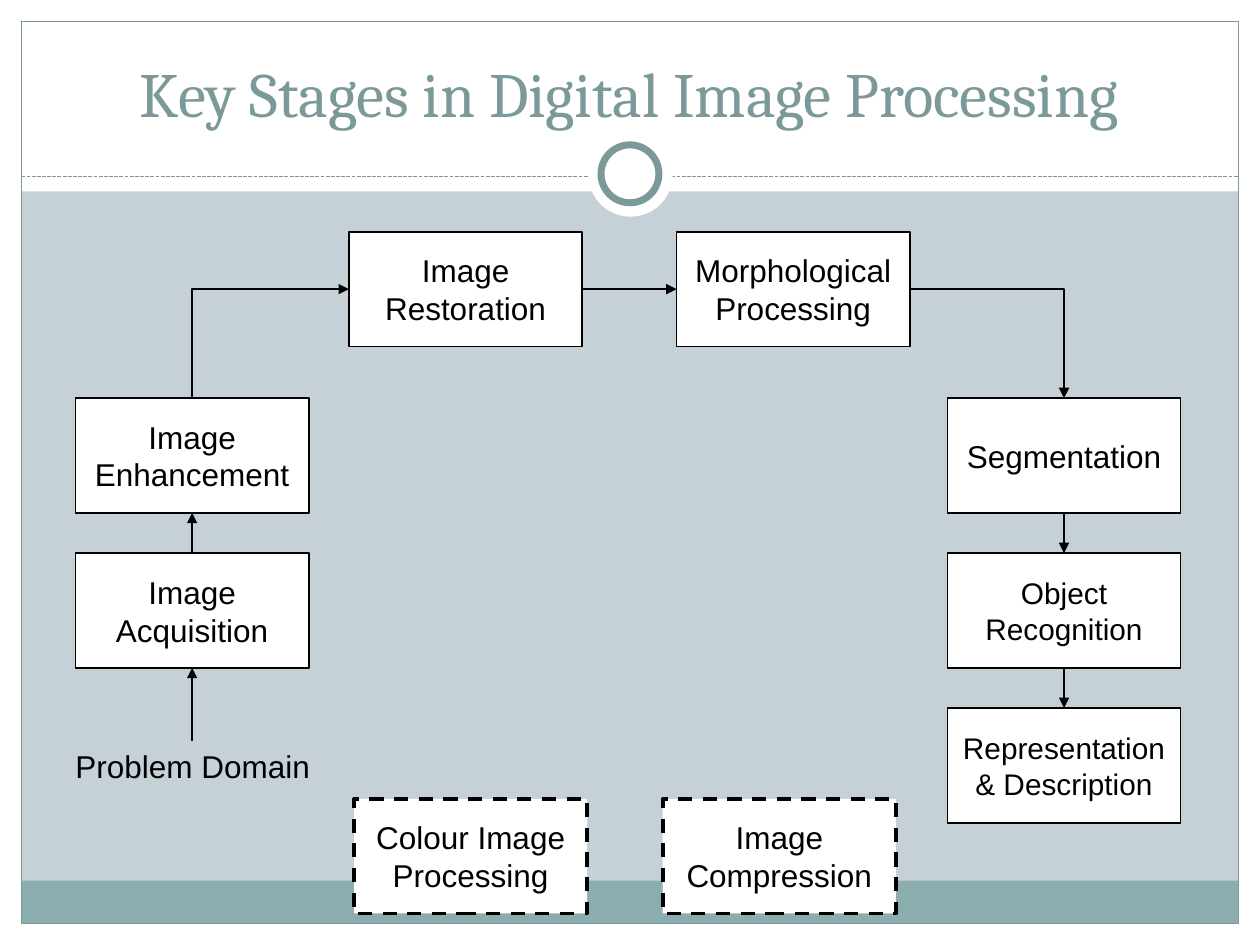
import pptx
import pptx.util
import pptx.dml.color
import pptx.enum.dml
import pptx.enum.shapes
import pptx.enum.text
import pptx.oxml.ns
import pptx.oxml.xmlchemy

Inches, Pt = pptx.util.Inches, pptx.util.Pt
RGB = pptx.dml.color.RGBColor.from_string
Dash = pptx.enum.dml.MSO_LINE
Form = pptx.enum.shapes.MSO_SHAPE
Link = pptx.enum.shapes.MSO_CONNECTOR
Align = pptx.enum.text.PP_ALIGN
Anchor = pptx.enum.text.MSO_ANCHOR
qn = pptx.oxml.ns.qn
Node = pptx.oxml.xmlchemy.OxmlElement

INK = {"back": "C5D1D7", "white": "FFFFFF", "band": "8CADAE",
       "trim": "7C999A", "black": "000000"}

deck = pptx.Presentation()
deck.slide_width, deck.slide_height = Inches(10), Inches(7.5)
slide = deck.slides.add_slide(deck.slide_layouts[6])
slide.background.fill.solid()
slide.background.fill.fore_color.rgb = RGB(INK["back"])


def draw(form, left, top, width, height, fill=None, line=None, weight=1, dash=None):
    shape = slide.shapes.add_shape(form, *map(Inches, (left, top, width, height)))
    shape.shadow.inherit = False
    if fill:
        shape.fill.solid()
        shape.fill.fore_color.rgb = RGB(INK[fill])
    else:
        shape.fill.background()
    if line:
        shape.line.color.rgb = RGB(INK[line])
        shape.line.width = Pt(weight)
        if dash:
            shape.line.dash_style = dash
    else:
        shape.line.fill.background()
    return shape


def write(shape, text, size=18, font="Arial", ink="black",
          align=Align.CENTER, anchor=Anchor.MIDDLE, wrap=True):
    frame = shape.text_frame
    frame.word_wrap = wrap
    frame.vertical_anchor = anchor
    para = frame.paragraphs[0]
    para.alignment = align
    run = para.add_run()
    run.text = text
    run.font.size, run.font.name = Pt(size), font
    run.font.color.rgb = RGB(INK[ink])


# Grid: page edge, four columns, a top row and three side rows
EDGE = 0.17
WIDE, HIGH = 1.85, 0.91
COL = [0.6, 2.77, 5.37, 7.52]
TOP = 1.84
ROW = [3.16 + 1.23 * i for i in range(3)]
MID = TOP + HIGH / 2
LEFT, RIGHT = COL[0] + WIDE / 2, COL[3] + WIDE / 2
BASE = 5.88

# White margins, bottom band and frame
for place in [(0, 7.5 - EDGE, 10, EDGE), (0, 0, 10, 1.52),
              (0, 0, EDGE, 7.5), (10 - EDGE, 0, EDGE, 7.5)]:
    draw(Form.RECTANGLE, *place, fill="white")
draw(Form.RECTANGLE, EDGE, 6.99, 10 - 2 * EDGE, 0.34, fill="band")
draw(Form.RECTANGLE, EDGE, EDGE, 10 - 2 * EDGE, 7.5 - 2 * EDGE,
     line="trim", weight=0.75)

# Lines: kind, start, end, ink, weight, arrow
lines = [(Link.STRAIGHT, EDGE, 1.4, 10 - EDGE, 1.4, "trim", 0.75, False)]
arrows = [
    (LEFT, BASE, LEFT, ROW[1] + HIGH),
    (LEFT, ROW[1], LEFT, ROW[0] + HIGH),
    (RIGHT, ROW[1] + HIGH, RIGHT, ROW[2]),
    (RIGHT, ROW[0] + HIGH, RIGHT, ROW[1]),
    (COL[1] + WIDE, MID, COL[2], MID),
]
lines += [(Link.STRAIGHT, *ends, "black", 1, True) for ends in arrows]
lines.append((Link.ELBOW, COL[2] + WIDE, MID, RIGHT, ROW[0], "black", 1, True))
# The left elbow is laid flat about its centre, then turned to run up and right
rise, reach = ROW[0] - MID, COL[1] - LEFT
x, y = (LEFT + COL[1]) / 2, (MID + ROW[0]) / 2
lines.append((Link.ELBOW, x - rise / 2, y - reach / 2, x + rise / 2, y + reach / 2,
              "black", 1, True))

for kind, *ends, ink, weight, arrow in lines:
    link = slide.shapes.add_connector(kind, *map(Inches, ends))
    link.line.color.rgb = RGB(INK[ink])
    link.line.width = Pt(weight)
    props = link._element.spPr
    if arrow:
        tip = Node("a:tailEnd")
        tip.set("type", "triangle")
        props.find(qn("a:ln")).append(tip)
    else:
        link.line.dash_style = Dash.SQUARE_DOT
    if kind == Link.ELBOW:
        props.find(qn("a:prstGeom")).set("prst", "bentConnector2")
    props.append(Node("a:effectLst"))
props.find(qn("a:xfrm")).set("rot", str(270 * 60000))

# Ring on the title rule
draw(Form.OVAL, 4.67, 1.05, 0.67, 0.67, fill="white")
draw(Form.OVAL, 4.77, 1.15, 0.46, 0.46, fill="white", line="trim", weight=4)

# Title and start label
title = slide.shapes.add_textbox(*map(Inches, (0.33, 0.25, 9.33, 0.83)))
write(title, "Key Stages in Digital Image Processing", size=36, font="Cambria",
      ink="trim", anchor=Anchor.BOTTOM)
label = slide.shapes.add_textbox(*map(Inches, (0.5, BASE, 2.06, 0.4)))
write(label, "Problem Domain", align=Align.LEFT, anchor=Anchor.TOP, wrap=False)

# Stages, in the order of the flow
stages = [
    ("Image Acquisition", COL[0], ROW[1], 18),
    ("Image Enhancement", COL[0], ROW[0], 18),
    ("Image Restoration", COL[1], TOP, 18),
    ("Morphological Processing", COL[2], TOP, 18),
    ("Segmentation", COL[3], ROW[0], 18),
    ("Object Recognition", COL[3], ROW[1], 17),
    ("Representation & Description", COL[3], ROW[2], 17),
]
for text, left, top, size in stages:
    box = draw(Form.RECTANGLE, left, top, WIDE, HIGH, fill="white", line="black")
    write(box, text, size=size)

# Side topics with dashed outlines
for text, left in [("Colour Image Processing", 2.81), ("Image Compression", 5.26)]:
    box = draw(Form.RECTANGLE, left, 6.34, WIDE, HIGH, fill="white",
               line="black", weight=2, dash=Dash.DASH)
    write(box, text)

deck.save("out.pptx")
